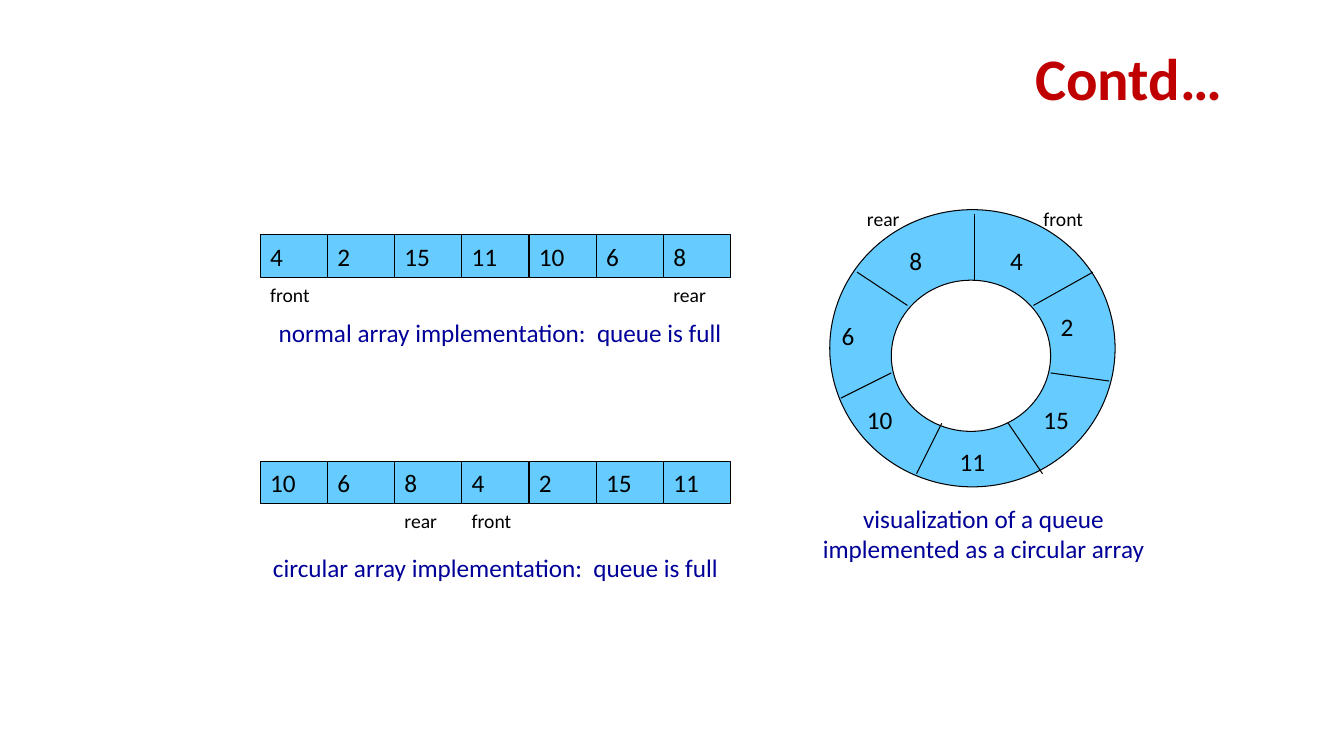
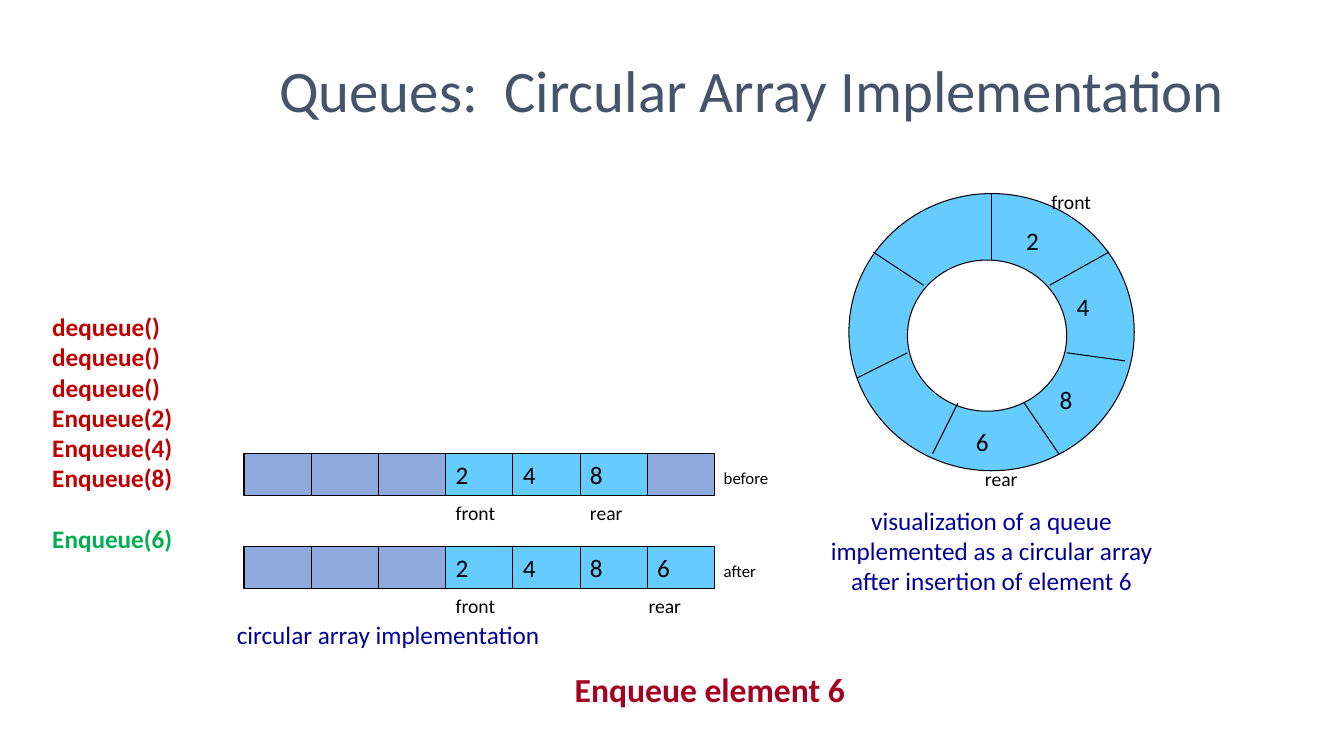
from dataclasses import dataclass

from lxml import etree
from pptx import Presentation
from pptx.dml.color import RGBColor
from pptx.enum.shapes import MSO_CONNECTOR, MSO_SHAPE
from pptx.enum.text import MSO_ANCHOR, MSO_AUTO_SIZE, PP_ALIGN
from pptx.oxml.ns import qn
from pptx.util import Inches, Pt

LEFT, CENTER, RIGHT = PP_ALIGN.LEFT, PP_ALIGN.CENTER, PP_ALIGN.RIGHT
TOP, MIDDLE = MSO_ANCHOR.TOP, MSO_ANCHOR.MIDDLE
RECTANGLE, OVAL = MSO_SHAPE.RECTANGLE, MSO_SHAPE.OVAL
STRAIGHT = MSO_CONNECTOR.STRAIGHT
NO_AUTOFIT = MSO_AUTO_SIZE.NONE


@dataclass(frozen=True)
class Theme:
    font: str = "Calibri"
    black: str = "000000"
    white: str = "FFFFFF"
    filled: str = "66CCFF"
    vacant: str = "8FAADC"
    caption: str = "000099"
    red: str = "C00000"
    green: str = "00B050"
    crimson: str = "A50021"
    slate: str = "44546A"
    title_size: int = 42
    headline_size: int = 24
    body_size: int = 18
    marker_size: int = 14
    note_size: int = 12
    line_width: float = 0.75


THEME = Theme()

# Array rows
CELL_WIDTH, CELL_HEIGHT = 2 / 3, 0.42
MARKER_DROP = 0.34

# Ring geometry, measured from the top left corner of the hole
RING_SIZE = (2.83, 2.75)
HOLE_SIZE = (1.58, 1.5)
SPOKES = [
    ((0.83, -0.66), (0.83, 0)),
    ((1.41, 0.25), (2, -0.08)),
    ((1.58, 0.92), (2.16, 1)),
    ((1.16, 1.42), (1.5, 1.92)),
    ((0.5, 1.42), (0.25, 1.92)),
    ((0, 0.92), (-0.5, 1.17)),
    ((-0.34, -0.08), (0.16, 0.25)),
]
# Value positions, clockwise from the top
SLOTS = [(1.08, -0.41), (1.58, 0.25), (1.41, 1.17), (0.58, 1.59),
         (-0.34, 1.17), (-0.59, 0.34), (0.08, -0.41)]


def color(value):
    return RGBColor.from_string(value)


def write_text(shape, text, size=THEME.body_size, fill=THEME.black, bold=False,
               align=LEFT, anchor=MIDDLE):
    """Fill a shape with one paragraph per line of text."""
    frame = shape.text_frame
    frame.word_wrap = True
    frame.auto_size = NO_AUTOFIT
    frame.vertical_anchor = anchor
    frame.text = text
    for paragraph in frame.paragraphs:
        paragraph.alignment = align
        for run in paragraph.runs:
            font = run.font
            font.name, font.size, font.bold = THEME.font, Pt(size), bold
            font.color.rgb = color(fill)
    return frame


def add_text(slide, text, left, top, width, height, **text_format):
    box = slide.shapes.add_textbox(
        Inches(left), Inches(top), Inches(width), Inches(height))
    return write_text(box, text, **text_format)


def add_caption(slide, text, left, top, width, height=0.75, align=CENTER):
    add_text(slide, text, left, top, width, height,
             fill=THEME.caption, align=align)


def add_marker(slide, text, left, top):
    add_text(slide, text, left, top, 0.75, 0.5, size=THEME.marker_size)


def add_outlined(slide, kind, left, top, width, height, fill):
    shape = slide.shapes.add_shape(
        kind, Inches(left), Inches(top), Inches(width), Inches(height))
    shape.shadow.inherit = False
    shape.fill.solid()
    shape.fill.fore_color.rgb = color(fill)
    shape.line.color.rgb = color(THEME.black)
    shape.line.width = Pt(THEME.line_width)
    return shape


def add_line(slide, start, end):
    line = slide.shapes.add_connector(
        STRAIGHT, *(Inches(value) for value in (*start, *end)))
    line.line.color.rgb = color(THEME.black)
    line.line.width = Pt(THEME.line_width)
    etree.SubElement(line._element.spPr, qn("a:effectLst"))


def add_array(slide, left, top, values, markers):
    """Draw a row of cells; markers pairs a label with its column."""
    for column, value in enumerate(values):
        fill = THEME.vacant if value is None else THEME.filled
        cell = add_outlined(slide, RECTANGLE, left + column * CELL_WIDTH, top,
                            CELL_WIDTH, CELL_HEIGHT, fill)
        if value is not None:
            write_text(cell, str(value))
    for label, column in markers.items():
        add_marker(slide, label, left + column * CELL_WIDTH, top + MARKER_DROP)


def add_ring(slide, ring_corner, hole_corner, values, markers):
    """Draw a circular array; markers pairs a label with its offset."""
    left, top = hole_corner
    add_outlined(slide, OVAL, *ring_corner, *RING_SIZE, THEME.filled)
    add_outlined(slide, OVAL, left, top, *HOLE_SIZE, THEME.white)
    for spoke in SPOKES:
        add_line(slide, *((left + x, top + y) for x, y in spoke))
    for value, (x, y) in zip(values, SLOTS):
        add_text(slide, str(value), left + x, top + y, 0.58, 0.42)
    for label, (x, y) in markers.items():
        add_marker(slide, label, left + x, top + y)


def add_titled_slide(presentation, text, left, top, width, height, **text_format):
    slide = presentation.slides.add_slide(presentation.slide_layouts[5])
    title = slide.shapes.title
    title.left, title.top = Inches(left), Inches(top)
    title.width, title.height = Inches(width), Inches(height)
    frame = write_text(title, text, size=THEME.title_size, **text_format)
    frame.paragraphs[0].line_spacing = 0.9
    return slide


def build_full_queue(presentation):
    slide = add_titled_slide(presentation, "Contd…", 2.61, 0.34, 9.61, 0.93,
                             fill=THEME.red, bold=True, align=RIGHT)
    queue = [4, 2, 15, 11, 10, 6, 8]

    # Normal and circular arrays
    add_array(slide, 2.58, 2.33, queue, {"front": 0, "rear": 6})
    add_caption(slide, "normal array implementation:  queue is full",
                2.5, 2.92, 4.92)
    add_array(slide, 2.58, 4.58, queue[4:] + queue[:4], {"rear": 2, "front": 3})
    add_caption(slide, "circular array implementation:  queue is full",
                2.5, 5.25, 4.83)

    # Ring
    add_ring(slide, (8.23, 2.08), (8.84, 2.78), queue,
             {"rear": (-0.34, -0.86), "front": (1.41, -0.86)})
    add_caption(slide, "visualization of a queue\nimplemented as a circular array",
                7.92, 4.92, 3.67)


def build_enqueue(presentation):
    slide = add_titled_slide(presentation, "Queues:  Circular Array Implementation",
                             2.67, 0.3, 9.91, 1.25, fill=THEME.slate)

    # Ring
    add_ring(slide, (8.42, 1.92), (9, 2.58), [2, 4, 8, 6],
             {"front": (1.33, -0.83), "rear": (0.67, 1.92)})
    add_caption(slide, "visualization of a queue\nimplemented as a circular array\n"
                "after insertion of element 6", 8, 5, 3.67, 0.92)

    # Array before and after the insertion
    states = [("before", 4.5, None, 5), ("after", 5.42, 6, 5.87)]
    for note, top, last_value, rear_column in states:
        add_array(slide, 2.42, top, [None, None, None, 2, 4, 8, last_value],
                  {"front": 3, "rear": rear_column})
        add_text(slide, note, 7.08, top + 0.08, 1, 0.33, size=THEME.note_size)
    add_caption(slide, "circular array implementation", 2.25, 5.92, 4.42, align=LEFT)
    add_text(slide, "Enqueue element 6", 4.83, 6.5, 4.42, 0.67, bold=True,
             size=THEME.headline_size, fill=THEME.crimson, align=CENTER)

    # Operations, the newest set apart in green
    operations = ["dequeue()"] * 3 + [f"Enqueue({value})" for value in (2, 4, 8, 6)]
    frame = add_text(slide, "\n".join(operations), 0.42, 3.04, 1.54, 4.34,
                     fill=THEME.red, bold=True, anchor=TOP)
    newest = frame.paragraphs[-1]
    newest.space_before = Pt(22)
    newest.runs[0].font.color.rgb = color(THEME.green)


def main():
    presentation = Presentation()
    presentation.slide_width = Inches(13.33)
    presentation.slide_height = Inches(7.5)
    build_full_queue(presentation)
    build_enqueue(presentation)
    presentation.save("out.pptx")


if __name__ == "__main__":
    main()
